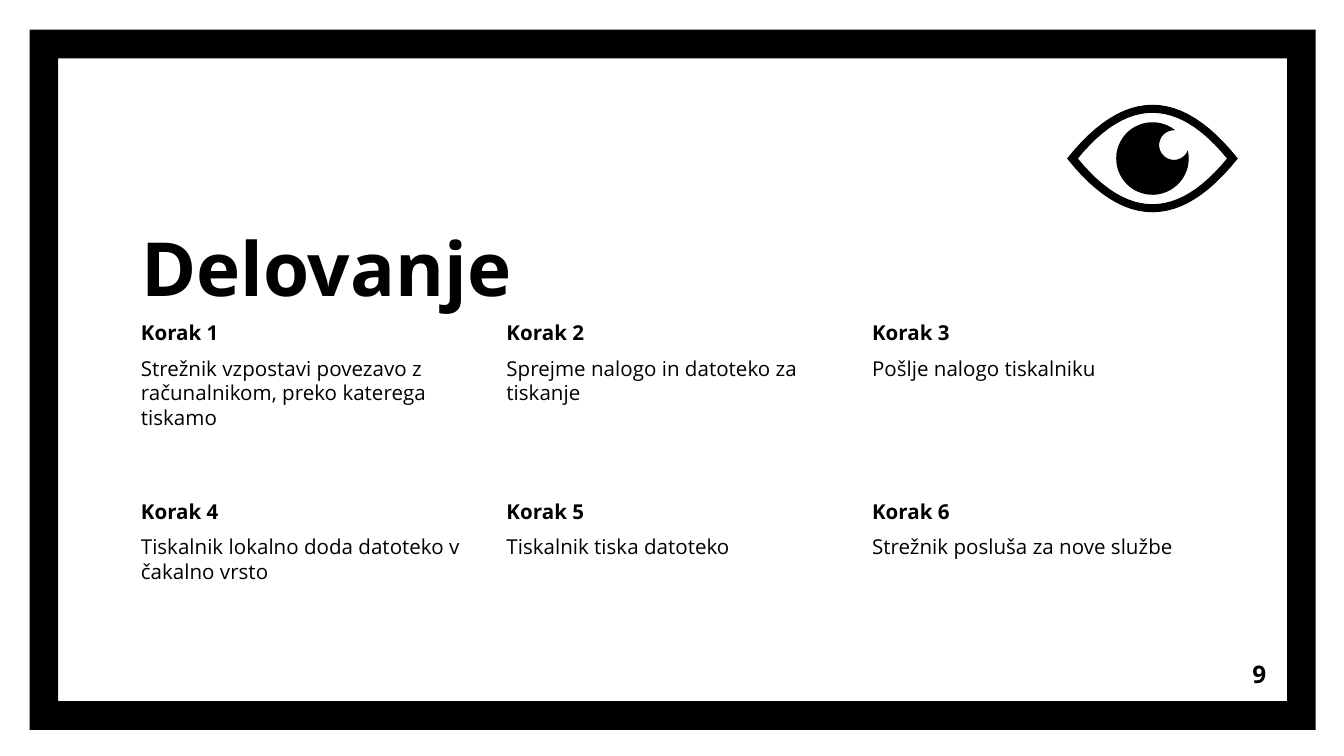
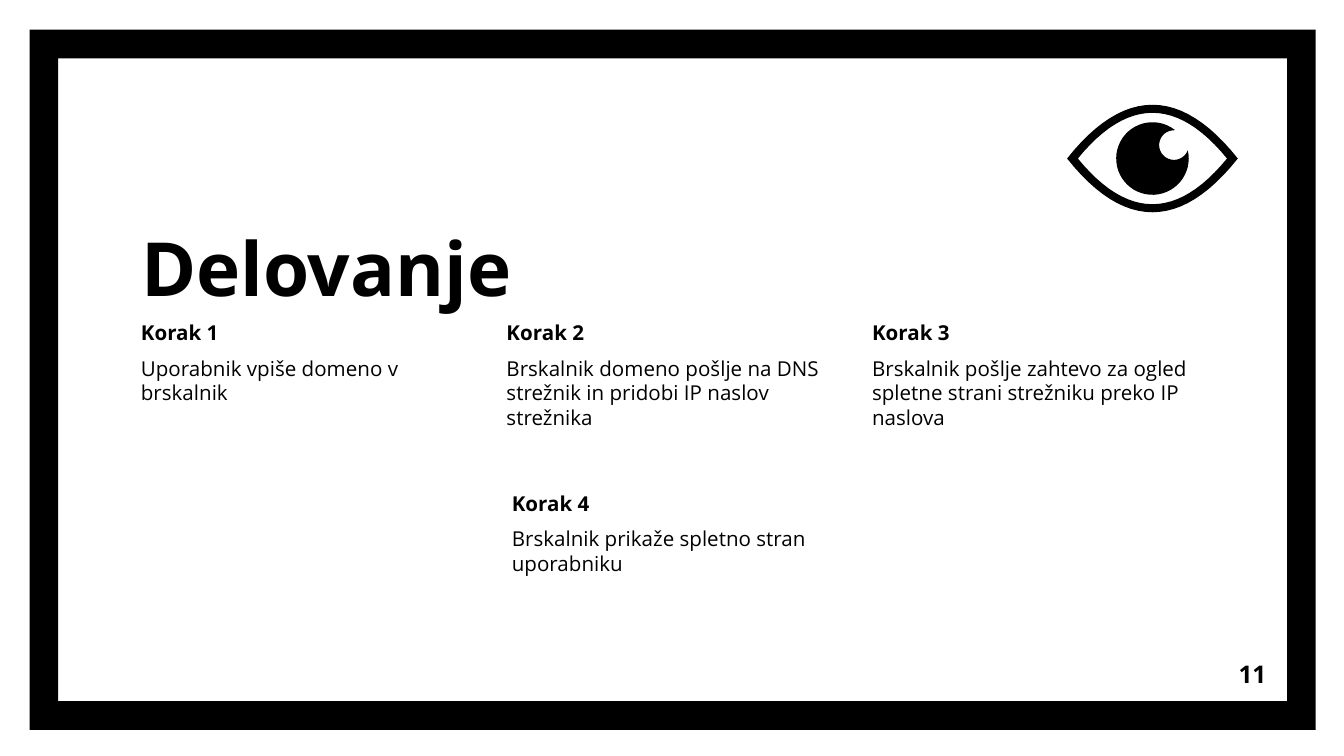
import math

import pptx
import pptx.dml.color
import pptx.enum.shapes
import pptx.enum.text
import pptx.util

Inches = pptx.util.Inches
Pt = pptx.util.Pt
Align = pptx.enum.text.PP_ALIGN
Anchor = pptx.enum.text.MSO_ANCHOR

BLACK = pptx.dml.color.RGBColor(0x00, 0x00, 0x00)
WHITE = pptx.dml.color.RGBColor(0xFF, 0xFF, 0xFF)
FONT = "Open Sans"

WIDE = 10
HIGH = WIDE * 9 / 16
FRAME_BOX = (0.22, 0.22, 9.57, 5.21)
TITLE_BOX = (0.95, 0.93, 5.57, 1.49)
EYE_BOX = (7.94, 0.78, 1.27, 0.8)
PAGE_BOX = (8.92, 4.8, 0.6, 0.43)
STEP_SIZE = (2.59, 1.54)
GRID = [(0.95 + 2.72 * col, 2.28 + 1.33 * row) for row in range(2) for col in range(3)]

PRINT_STEPS = [
    "Strežnik vzpostavi povezavo z računalnikom, preko katerega tiskamo",
    "Sprejme nalogo in datoteko za tiskanje",
    "Pošlje nalogo tiskalniku",
    "Tiskalnik lokalno doda datoteko v čakalno vrsto",
    "Tiskalnik tiska datoteko",
    "Strežnik posluša za nove službe",
]
WEB_STEPS = [
    "Uporabnik vpiše domeno v brskalnik",
    "Brskalnik domeno pošlje na DNS strežnik in pridobi IP naslov strežnika",
    "Brskalnik pošlje zahtevo za ogled spletne strani strežniku preko IP naslova",
    "Brskalnik prikaže spletno stran uporabniku",
]
PAGES = [
    ("9", PRINT_STEPS, GRID),
    ("11", WEB_STEPS, GRID[:3] + [(3.71, 3.55)]),
]


def apply(item, style):
    """Set each attribute in a dict of format values."""
    for name, value in style.items():
        setattr(item, name, value)


def place(shape, box):
    """Move and size a shape to a box in inches."""
    names = ("left", "top", "width", "height")
    apply(shape, dict(zip(names, map(Inches, box))))


def paint(shape):
    """Give a shape a plain black fill."""
    shape.shadow.inherit = False
    shape.fill.solid()
    shape.fill.fore_color.rgb = BLACK
    shape.line.fill.background()


def write(shape, lines, size, anchor=Anchor.TOP, align=Align.LEFT, before=0):
    """Fill a shape with lines given as pairs of text and bold."""
    frame = shape.text_frame
    sides = ("margin_left", "margin_top", "margin_right", "margin_bottom")
    apply(frame, dict.fromkeys(sides, Inches(0.1)))
    apply(frame, {
        "word_wrap": True,
        "auto_size": pptx.enum.text.MSO_AUTO_SIZE.NONE,
        "vertical_anchor": anchor,
    })
    for index, (text, bold) in enumerate(lines):
        para = frame.add_paragraph() if index else frame.paragraphs[0]
        apply(para, {"alignment": align, "space_before": Pt(before)})
        run = para.add_run()
        run.text = text
        apply(run.font, {"name": FONT, "size": Pt(size), "bold": bold})
        run.font.color.rgb = BLACK


def add_text(slide, box, lines, size, **style):
    """Add a text box with its lines."""
    shape = slide.shapes.add_textbox(*map(Inches, box))
    write(shape, lines, size, **style)


def add_frame(slide, box):
    """Draw the thick border."""
    kind = pptx.enum.shapes.MSO_SHAPE.FRAME
    shape = slide.shapes.add_shape(kind, *map(Inches, box))
    shape.adjustments[0] = 0.041
    paint(shape)


def add_title(slide, box, text):
    """Place and format the title."""
    title = slide.shapes.title
    place(title, box)
    write(title, [(text, True)], 40, anchor=Anchor.BOTTOM)


def lens(mid_x, mid_y, half_w, half_h):
    """Return the points of two facing parabolas."""
    steps = [i / 12 for i in range(-12, 13)]
    upper = [(mid_x + half_w * t, mid_y - half_h * (1 - t * t)) for t in steps]
    lower = [(x, 2 * mid_y - y) for x, y in upper[-2:0:-1]]
    return upper + lower


def arc(mid_x, mid_y, radius, start, end, count):
    """Return points on an arc, with angles in degrees."""
    turns = [math.radians(start + (end - start) * i / count) for i in range(count + 1)]
    return [(mid_x + radius * math.cos(t), mid_y + radius * math.sin(t)) for t in turns]


def add_path(slide, *loops):
    """Draw closed loops of points as one black outline."""
    loops = [[(Inches(x), Inches(y)) for x, y in loop] for loop in loops]
    build = slide.shapes.build_freeform(*loops[0][0])
    for index, loop in enumerate(loops):
        if index:
            build.move_to(*loop[0])
        build.add_line_segments(loop[1:], close=True)
    shape = build.convert_to_shape()
    paint(shape)
    return shape


def add_eye(slide, box):
    """Draw the eye from a rim and a pupil with a glint."""
    left, top, width, height = box
    mid_x, mid_y = left + width / 2, top + height / 2
    outer = lens(mid_x, mid_y, width / 2, height / 2)
    inner = lens(mid_x, mid_y, width / 2 - 0.08, height / 2 - 0.06)
    rim = add_path(slide, outer, inner[::-1])
    ball = arc(mid_x, mid_y, 0.27, -13, 308, 48)
    glint = arc(mid_x + 0.16, mid_y - 0.1, 0.11, 270, 25, 32)
    pupil = add_path(slide, ball + glint)
    slide.shapes.add_group_shape([rim, pupil])


def add_steps(slide, texts, spots):
    """Place the numbered steps at their spots."""
    for number, (text, spot) in enumerate(zip(texts, spots), 1):
        lines = [(f"Korak {number}", True), (text, False)]
        add_text(slide, spot + STEP_SIZE, lines, 11, before=6)


def add_page(deck, number, texts, spots):
    """Build one slide of steps."""
    slide = deck.slides.add_slide(deck.slide_layouts[5])
    slide.background.fill.solid()
    slide.background.fill.fore_color.rgb = WHITE
    add_frame(slide, FRAME_BOX)
    add_title(slide, TITLE_BOX, "Delovanje")
    add_steps(slide, texts, spots)
    add_eye(slide, EYE_BOX)
    add_text(slide, PAGE_BOX, [(number, True)], 13, anchor=Anchor.MIDDLE, align=Align.RIGHT)


def main():
    """Build and save the deck."""
    deck = pptx.Presentation()
    apply(deck, {"slide_width": Inches(WIDE), "slide_height": Inches(HIGH)})
    for page in PAGES:
        add_page(deck, *page)
    deck.save("out.pptx")


if __name__ == "__main__":
    main()
